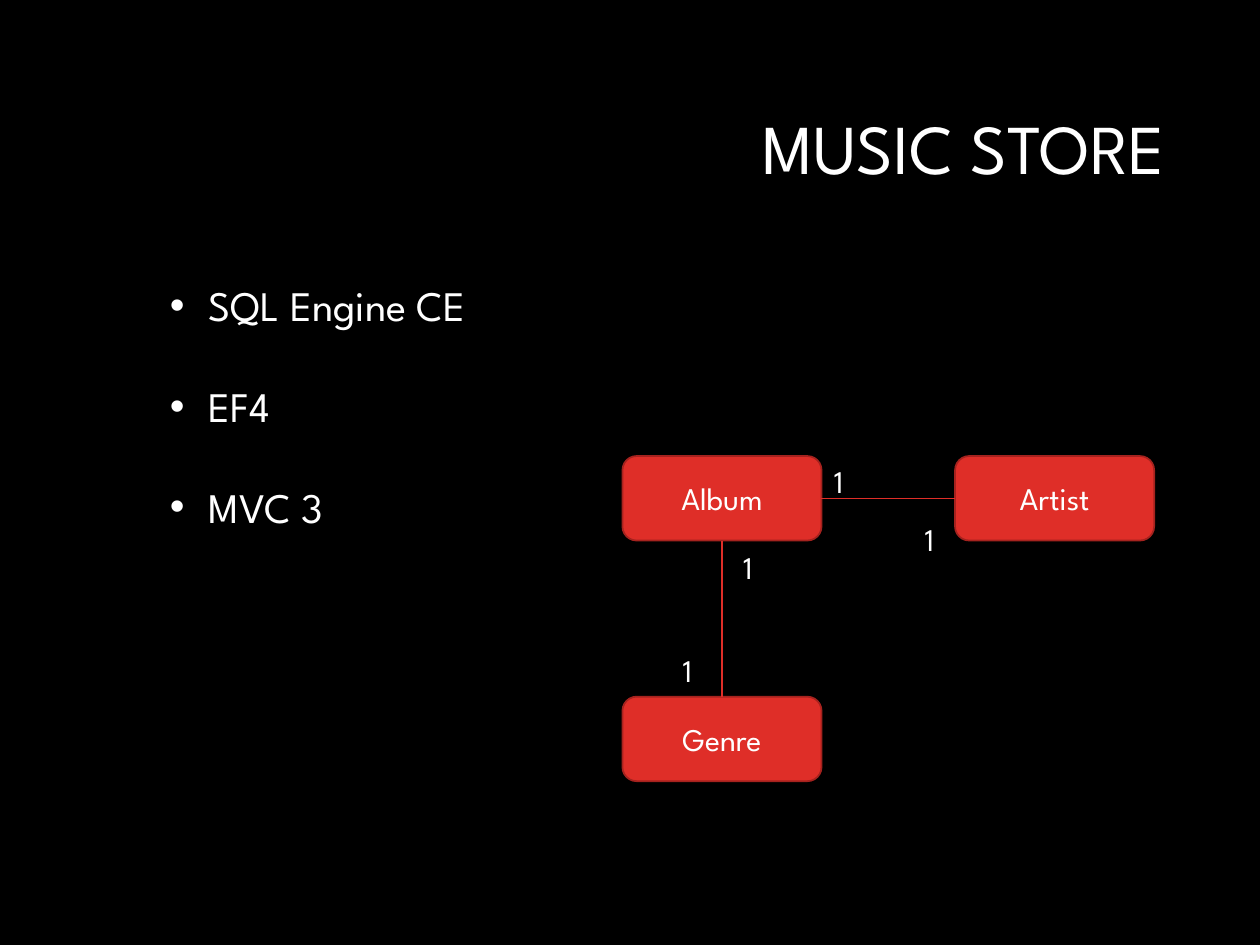
"""Builds the music store slide with its technology list and entity diagram."""
import pptx
import pptx.util
import pptx.dml.color
import pptx.enum.shapes
import pptx.enum.text
import pptx.oxml.ns
import pptx.oxml.xmlchemy

Inches = pptx.util.Inches
Pt = pptx.util.Pt
Align = pptx.enum.text.PP_ALIGN
Anchor = pptx.enum.text.MSO_ANCHOR
AutoSize = pptx.enum.text.MSO_AUTO_SIZE
OxmlElement = pptx.oxml.xmlchemy.OxmlElement
qn = pptx.oxml.ns.qn

COLORS = {"background": "000000", "text": "FFFFFF", "entity": "DF2E28", "border": "A5221E"}


def rgb(name):
    return pptx.dml.color.RGBColor.from_string(COLORS[name])


def write(paragraph, text, size=18, font="League Spartan", color="text",
          align=Align.LEFT, line_spacing=None, before=0, bullet=None, indent=0.31):
    paragraph.alignment = align
    paragraph.line_spacing = line_spacing
    paragraph.space_before = Pt(before)
    run = paragraph.add_run()
    run.text = text
    run.font.size = Pt(size)
    run.font.name = font
    run.font.color.rgb = rgb(color)
    if bullet:
        properties = paragraph._p.get_or_add_pPr()
        properties.set("marL", str(Inches(indent)))
        properties.set("indent", str(-Inches(indent)))
        face = OxmlElement("a:buFont")
        face.set("typeface", "Arial")
        mark = OxmlElement("a:buChar")
        mark.set("char", bullet)
        properties.extend([face, mark])


class Deck:
    def __init__(self, width, height):
        self.presentation = pptx.Presentation()
        self.presentation.slide_width = Inches(width)
        self.presentation.slide_height = Inches(height)
        self.slide = self.presentation.slides.add_slide(self.presentation.slide_layouts[5])
        self.slide.background.fill.solid()
        self.slide.background.fill.fore_color.rgb = rgb("background")

    def title(self, text, left, top, width, height):
        heading = self.slide.shapes.title
        heading.left, heading.top = Inches(left), Inches(top)
        heading.width, heading.height = Inches(width), Inches(height)
        heading.text_frame.vertical_anchor = Anchor.MIDDLE
        heading.text_frame.word_wrap = True
        write(heading.text_frame.paragraphs[0], text, size=40, align=Align.RIGHT, line_spacing=0.9)

    def text_box(self, left, top, width, height, wrap):
        box = self.slide.shapes.add_textbox(*map(Inches, (left, top, width, height)))
        box.text_frame.word_wrap = wrap
        box.text_frame.auto_size = AutoSize.SHAPE_TO_FIT_TEXT
        return box.text_frame

    def bullets(self, items, left, top, width, height):
        frame = self.text_box(left, top, width, height, True)
        for index, item in enumerate(items):
            paragraph = frame.add_paragraph() if index else frame.paragraphs[0]
            write(paragraph, item, size=24, bullet="•", before=28.8 if index else 0)

    def label(self, text, left, top):
        write(self.text_box(left, top, 0.34, 0.4, False).paragraphs[0], text)

    def entity(self, name, left, top, width=1.58, height=0.67):
        box = self.slide.shapes.add_shape(
            pptx.enum.shapes.MSO_SHAPE.ROUNDED_RECTANGLE,
            *map(Inches, (left, top, width, height)))
        box.shadow.inherit = False
        box.fill.solid()
        box.fill.fore_color.rgb = rgb("entity")
        box.line.color.rgb = rgb("border")
        box.line.width = Pt(1)
        box.text_frame.vertical_anchor = Anchor.MIDDLE
        write(box.text_frame.paragraphs[0], name, align=Align.CENTER)
        return box

    def relation(self, source, source_site, target, target_site):
        link = self.slide.shapes.add_connector(pptx.enum.shapes.MSO_CONNECTOR.STRAIGHT, 0, 0, 0, 0)
        link.begin_connect(source, source_site)
        link.end_connect(target, target_site)
        link.line.color.rgb = rgb("entity")
        link.line.width = Pt(0.75)
        link._element.find(qn("p:spPr")).append(OxmlElement("a:effectLst"))

    def save(self):
        self.presentation.save("out.pptx")


TOP, LEFT, BOTTOM, RIGHT = range(4)

deck = Deck(10, 7.5)
deck.bullets(["SQL Engine CE", "EF4", "MVC 3"], 1.25, 2.17, 3.25, 2.12)
deck.title("MUSIC STORE", 2.38, 0.5, 6.97, 1.41)

album = deck.entity("Album", 4.94, 3.62)
genre = deck.entity("Genre", 4.94, 5.53)
artist = deck.entity("Artist", 7.58, 3.62)
deck.relation(album, RIGHT, artist, LEFT)
deck.relation(album, BOTTOM, genre, TOP)

for left, top in [(6.52, 3.62), (7.24, 4.08), (5.8, 4.3), (5.32, 5.12)]:
    deck.label("1", left, top)

deck.save()
